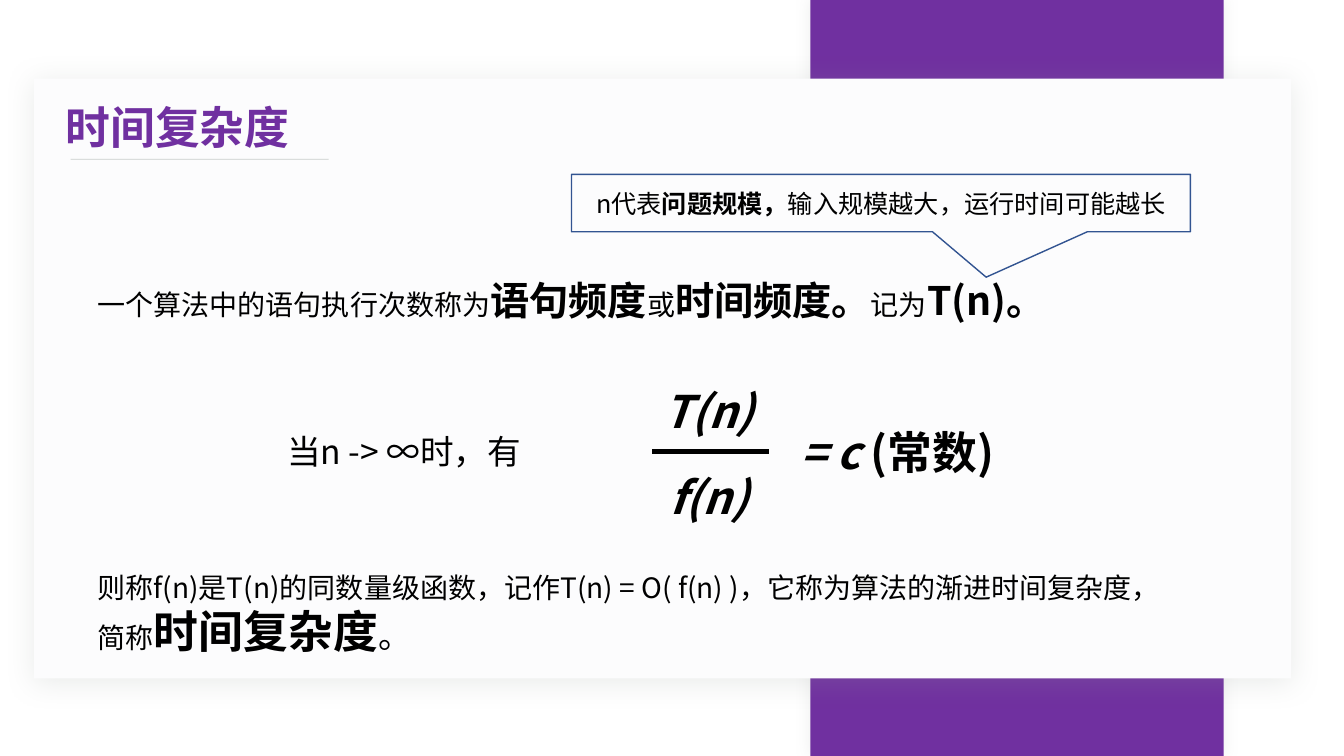
from dataclasses import dataclass

from lxml.etree import SubElement
from pptx import Presentation
from pptx.dml.color import RGBColor
from pptx.enum.shapes import MSO_CONNECTOR as Connector, MSO_SHAPE as Preset
from pptx.enum.text import MSO_ANCHOR as Anchor, MSO_AUTO_SIZE as AutoSize, PP_ALIGN as Align
from pptx.oxml.ns import qn
from pptx.util import Inches, Pt

FONT = "Noto Sans CJK JP"
PURPLE, BLACK, GREY = "7030A0", "000000", "969F98"
COLUMNS, ROWS = 160, 90
WIDTH, HEIGHT = Inches(13.33), Inches(7.5)


@dataclass
class Box:
    x: float
    y: float
    w: float
    h: float

    def inner(self, x, y, w, h):
        return Box(self.x + x, self.y + y, w, h)

    def lengths(self):
        column, row = WIDTH / COLUMNS, HEIGHT / ROWS
        return [round(n) for n in (self.x * column, self.y * row, self.w * column, self.h * row)]


@dataclass
class Words:
    text: str
    size: int
    bold: bool = False
    italic: bool = False


def color(value):
    return RGBColor.from_string(value)


def set_alpha(parent, percent):
    SubElement(parent, qn("a:alpha"), val=str(percent * 1000))


def add_shadow(shape, hue, alpha, blur, distance, angle):
    effects = SubElement(shape._element.spPr, qn("a:effectLst"))
    shadow = SubElement(effects, qn("a:outerShdw"), blurRad=str(Pt(blur)), dist=str(Pt(distance)),
                        dir=str(angle * 60000), algn="ctr", rotWithShape="0")
    set_alpha(SubElement(shadow, qn("a:srgbClr"), val=hue), alpha)


def write(shape, paragraphs, hue=BLACK, align=Align.LEFT, anchor=Anchor.MIDDLE, grow=True):
    frame = shape.text_frame
    frame.word_wrap = True
    frame.vertical_anchor = anchor
    frame.auto_size = AutoSize.SHAPE_TO_FIT_TEXT if grow else AutoSize.NONE
    for index, phrases in enumerate(paragraphs):
        paragraph = frame.add_paragraph() if index else frame.paragraphs[0]
        paragraph.alignment = align
        paragraph.font.color.rgb = color(hue)
        paragraph.font.name = FONT
        SubElement(paragraph._p.pPr.find(qn("a:defRPr")), qn("a:ea"), typeface=FONT)
        runs = [paragraph.add_run() for _ in phrases]
        for run, words in zip(runs, phrases):
            run.text = words.text
        for name in ("size", "bold", "italic"):
            values = [getattr(words, name) for words in phrases]
            values = [Pt(n) for n in values] if name == "size" else values
            if len(set(values)) == 1:
                setattr(paragraph.font, name, values[0])
            else:
                for run, value in zip(runs, values):
                    setattr(run.font, name, value)


def add_text(slide, box, *paragraphs, **style):
    write(slide.shapes.add_textbox(*box.lengths()), paragraphs, **style)


def add_panel(slide, box, fill, shadow):
    panel = slide.shapes.add_shape(Preset.RECTANGLE, *box.lengths())
    panel.fill.solid()
    panel.fill.fore_color.rgb = color(fill)
    panel.line.fill.background()
    add_shadow(panel, *shadow)


def add_rule(slide, box, hue, width):
    x, y, w, _ = box.lengths()
    rule = slide.shapes.add_connector(Connector.STRAIGHT, x, y, x + w, y)
    rule.line.color.rgb = color(hue)
    rule.line.width = Pt(width)
    SubElement(rule._element.spPr, qn("a:effectLst"))
    return rule


def add_background(slide, stripe, card):
    add_panel(slide, stripe, PURPLE, ("D5D7D5", 40, 10, 0, 0))
    add_panel(slide, card, "FCFCFD", (GREY, 20, 20, 3, 90))


def add_heading(slide, box):
    title = slide.shapes.title
    slide.shapes._spTree.append(title._element)
    title.left, title.top, title.width, title.height = box.lengths()
    write(title, [[Words("时间复杂度", 32, True)]], hue=PURPLE, anchor=Anchor.TOP)
    underline = add_rule(slide, box.inner(1.8, 7.68, 30.72, 0), GREY, 0.5)
    set_alpha(underline._element.spPr.find(".//" + qn("a:srgbClr")), 50)


def add_definition(slide, box):
    add_text(slide, box.inner(0, 11.52, 143.64, 6.84), [
        Words("一个算法中的语句执行次数称为", 20), Words("语句频度", 28, True),
        Words("或", 20), Words("时间频度。", 28, True),
        Words("记为", 20), Words("T(n)。", 28, True)])
    scale_note = slide.shapes.add_shape(Preset.RECTANGULAR_CALLOUT,
                                        *box.inner(57.6, 0, 73.68, 6.84).lengths())
    scale_note.shadow.inherit = False
    scale_note.fill.background()
    scale_note.line.color.rgb = color("325491")
    scale_note.line.width = Pt(1)
    scale_note.adjustments[0], scale_note.adjustments[1] = 0.17, 1.29
    write(scale_note, [[Words("n代表", 18), Words("问题规模，", 18, True),
                        Words("输入规模越大，运行时间可能越长", 18)]],
          align=Align.CENTER, grow=False)


def add_formula(slide, box):
    add_text(slide, box.inner(45.48, 10.32, 18, 7.68), [Words("f(n)", 32, True, True)])
    add_rule(slide, box.inner(44.64, 8.76, 13.92, 0), BLACK, 3)
    add_text(slide, box.inner(44.76, 0, 13.92, 7.68), [Words("T(n)", 32, True, True)])
    add_text(slide, box.inner(61.08, 4.92, 32.88, 7.68),
             [Words("= c ", 32, True, True), Words("(常数)", 32, True)])
    add_text(slide, box.inner(0, 5.76, 32.88, 6), [Words("当n -> ∞时，有", 24)],
             anchor=Anchor.TOP)


def add_conclusion(slide, box):
    add_text(slide, box,
             [Words("则称f(n)是T(n)的同数量级函数，记作T(n) = O( f(n) )，它称为算法的渐进时间复杂度，", 20)],
             [Words("简称", 20), Words("时间复杂度", 32, True), Words("。", 24)],
             anchor=Anchor.TOP)


def main():
    deck = Presentation()
    deck.slide_width, deck.slide_height = WIDTH, HEIGHT
    slide = deck.slides.add_slide(deck.slide_layouts[5])
    card = Box(4.08, 9.36, 149.64, 71.4)
    add_background(slide, Box(96.48, 0, 49.2, ROWS), card)
    add_heading(slide, card.inner(2.52, 1.92, 30.96, 7.68))
    add_definition(slide, card.inner(6.36, 11.4, 143.64, 18.36))
    add_formula(slide, card.inner(28.92, 35.64, 93.96, 18))
    add_conclusion(slide, card.inner(6.36, 57.96, 143.64, 11.76))
    deck.save("out.pptx")


if __name__ == "__main__":
    main()
